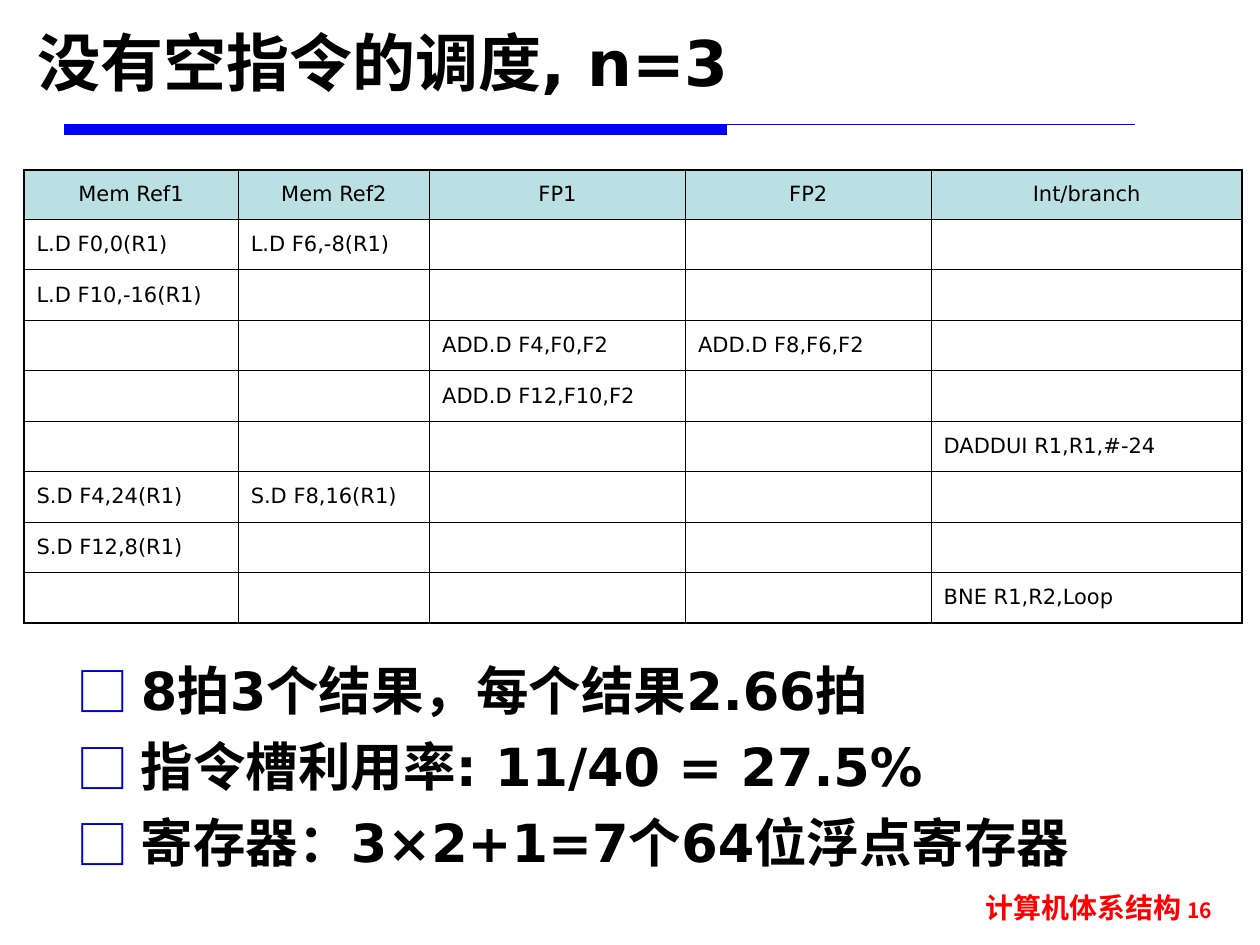
"""Build the slide on scheduling without empty instructions, n=3."""
from lxml import etree
from pptx import Presentation
from pptx.dml.color import RGBColor
from pptx.enum.shapes import MSO_CONNECTOR, MSO_SHAPE
from pptx.enum.text import MSO_ANCHOR, PP_ALIGN
from pptx.oxml.ns import qn
from pptx.util import Inches, Pt

LEFT, CENTER, RIGHT = PP_ALIGN.LEFT, PP_ALIGN.CENTER, PP_ALIGN.RIGHT
TOP, MIDDLE = MSO_ANCHOR.TOP, MSO_ANCHOR.MIDDLE
STRAIGHT, RECTANGLE = MSO_CONNECTOR.STRAIGHT, MSO_SHAPE.RECTANGLE

BLACK = RGBColor(0, 0, 0)
BLUE = RGBColor(0, 0, 255)
RED = RGBColor(255, 0, 0)
HEADER_FILL = RGBColor(0xBB, 0xE0, 0xE3)
BULLET_COLOR = "0000CC"
LATIN, CHINESE = "DejaVu Sans", "Noto Sans CJK SC"

TITLE = "没有空指令的调度, n=3"
FOOTER, PAGE_NUMBER = "计算机体系结构 ", "16"
POINTS = [
    "8拍3个结果，每个结果2.66拍",
    "指令槽利用率: 11/40 = 27.5%",
    "寄存器：3×2+1=7个64位浮点寄存器",
]
SCHEDULE = [
    ("Mem Ref1", "Mem Ref2", "FP1", "FP2", "Int/branch"),
    ("L.D F0,0(R1)", "L.D F6,-8(R1)", "", "", ""),
    ("L.D F10,-16(R1)", "", "", "", ""),
    ("", "", "ADD.D F4,F0,F2", "ADD.D F8,F6,F2", ""),
    ("", "", "ADD.D F12,F10,F2", "", ""),
    ("", "", "", "", "DADDUI R1,R1,#-24"),
    ("S.D F4,24(R1)", "S.D F8,16(R1)", "", "", ""),
    ("S.D F12,8(R1)", "", "", "", ""),
    ("", "", "", "", "BNE R1,R2,Loop"),
]
COLUMN_WIDTHS = [1.7, 1.52, 2.03, 1.95, 2.47]
ROW_HEIGHT = 0.39
THIN, THICK = 0.45, 1.08

TITLE_FONT = {"size": Pt(36), "bold": True, "name": LATIN}
BODY_FONT = {"size": Pt(30), "bold": True, "name": LATIN}
CELL_FONT = {"size": Pt(12), "bold": False, "name": LATIN}
FOOTER_FONT = {"size": Pt(16), "bold": True, "name": CHINESE}
NUMBER_FONT = {**FOOTER_FONT, "size": Pt(12)}


def add_span(para, text, style, color=BLACK):
    span = para.add_run()
    span.text = text
    for name, value in style.items():
        setattr(span.font, name, value)
    span.font.color.rgb = color
    etree.SubElement(span.font._element, qn("a:ea"), typeface=CHINESE)


def add_box(page, place, anchor):
    frame = page.shapes.add_textbox(*map(Inches, place)).text_frame
    frame.word_wrap = True
    frame.vertical_anchor = anchor
    return frame


def add_bullet(para):
    props = para._p.get_or_add_pPr()
    props.set("marL", str(Inches(0.51)))
    props.set("indent", str(-Inches(0.51)))
    color = etree.SubElement(props, qn("a:buClr"))
    etree.SubElement(color, qn("a:srgbClr"), val=BULLET_COLOR)
    etree.SubElement(props, qn("a:buFont"), typeface=CHINESE)
    etree.SubElement(props, qn("a:buChar"), char="□")


def set_borders(cell, widths):
    props = cell._tc.get_or_add_tcPr()
    for position, (side, width) in enumerate(widths.items()):
        line = etree.Element(qn(f"a:ln{side}"), w=str(Pt(width)))
        fill = etree.SubElement(line, qn("a:solidFill"))
        etree.SubElement(fill, qn("a:srgbClr"), val=str(BLACK))
        props.insert(position, line)


def add_rule(page):
    bar = page.shapes.add_shape(RECTANGLE, *map(Inches, (0.51, 0.99, 5.26, 0.08)))
    bar.shadow.inherit = False
    bar.fill.solid()
    bar.fill.fore_color.rgb = BLUE
    bar.line.fill.background()
    line = page.shapes.add_connector(STRAIGHT, *map(Inches, (0.51, 0.99, 9.01, 0.99)))
    line.line.color.rgb = BLUE
    line.line.width = Pt(0.75)
    etree.SubElement(line._element.spPr, qn("a:effectLst"))


def add_schedule(page):
    last_row, last_column = len(SCHEDULE) - 1, len(COLUMN_WIDTHS) - 1
    place = (0.19, 1.35, sum(COLUMN_WIDTHS), ROW_HEIGHT * len(SCHEDULE))
    table = page.shapes.add_table(
        len(SCHEDULE), len(COLUMN_WIDTHS), *map(Inches, place)
    ).table
    for column, width in zip(table.columns, COLUMN_WIDTHS):
        column.width = Inches(width)
    for r, texts in enumerate(SCHEDULE):
        table.rows[r].height = Inches(ROW_HEIGHT)
        for c, text in enumerate(texts):
            cell = table.cell(r, c)
            cell.vertical_anchor = MIDDLE
            if r == 0:
                cell.fill.solid()
                cell.fill.fore_color.rgb = HEADER_FILL
            else:
                cell.fill.background()
            para = cell.text_frame.paragraphs[0]
            para.alignment = LEFT if r else CENTER
            add_span(para, text, CELL_FONT)
            outer = {"L": c == 0, "R": c == last_column, "T": r == 0, "B": r == last_row}
            set_borders(cell, {side: THICK if edge else THIN for side, edge in outer.items()})


def main():
    deck = Presentation()
    deck.slide_width, deck.slide_height = Inches(10), Inches(7.5)
    page = deck.slides.add_slide(deck.slide_layouts[6])
    add_rule(page)

    footer = add_box(page, (7.27, 7.02, 2.45, 0.43), TOP).paragraphs[0]
    footer.alignment = RIGHT
    add_span(footer, FOOTER, FOOTER_FONT, RED)
    add_span(footer, PAGE_NUMBER, NUMBER_FONT, RED)

    title = add_box(page, (0.2, 0.05, 9.61, 0.87), MIDDLE).paragraphs[0]
    add_span(title, TITLE, TITLE_FONT)

    add_schedule(page)

    body = add_box(page, (0.51, 5.17, 8.98, 1.81), TOP)
    for index, point in enumerate(POINTS):
        para = body.add_paragraph() if index else body.paragraphs[0]
        if index:
            para.space_before = Pt(7.5)
        add_bullet(para)
        add_span(para, point, BODY_FONT)
    deck.save("out.pptx")


if __name__ == "__main__":
    main()
